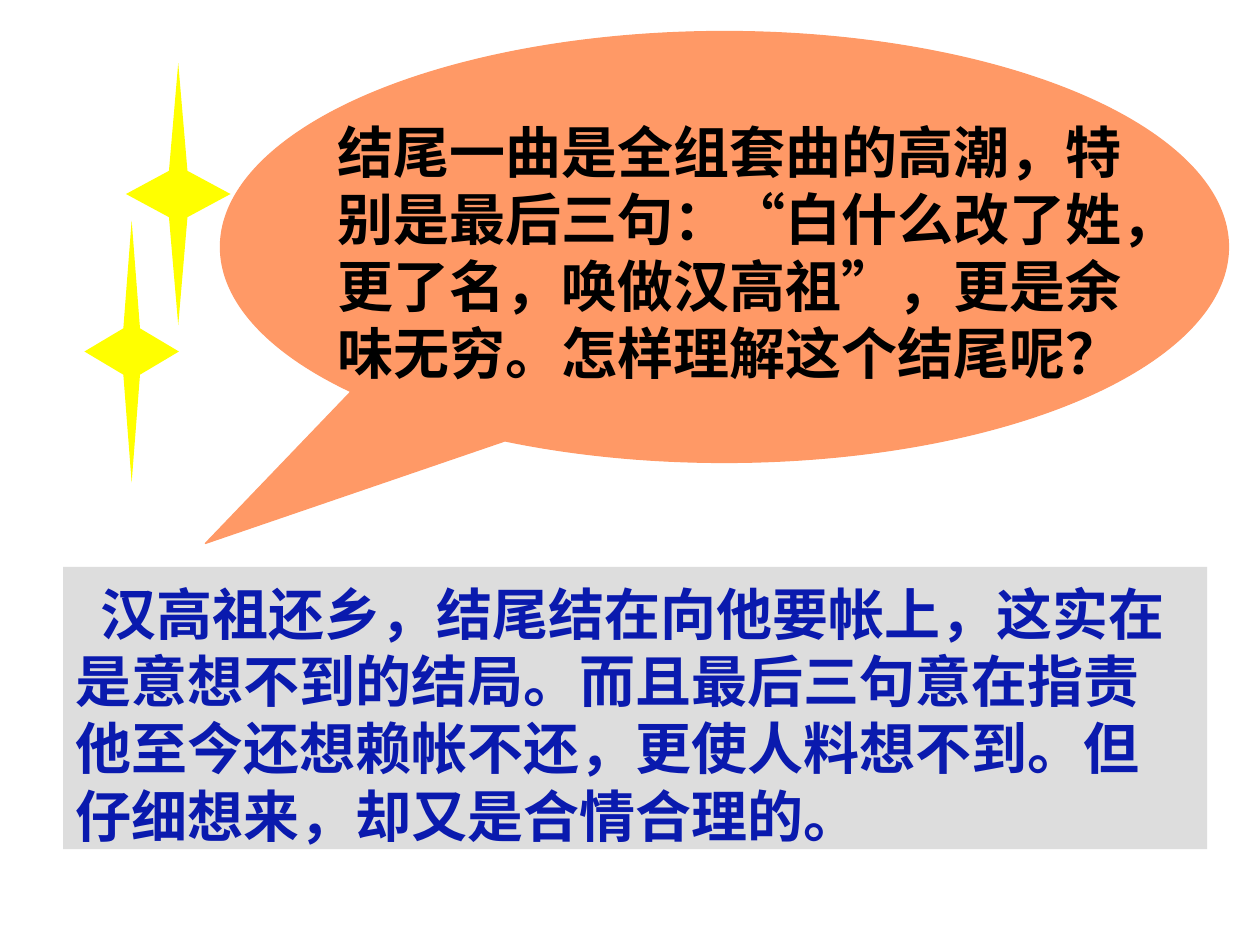
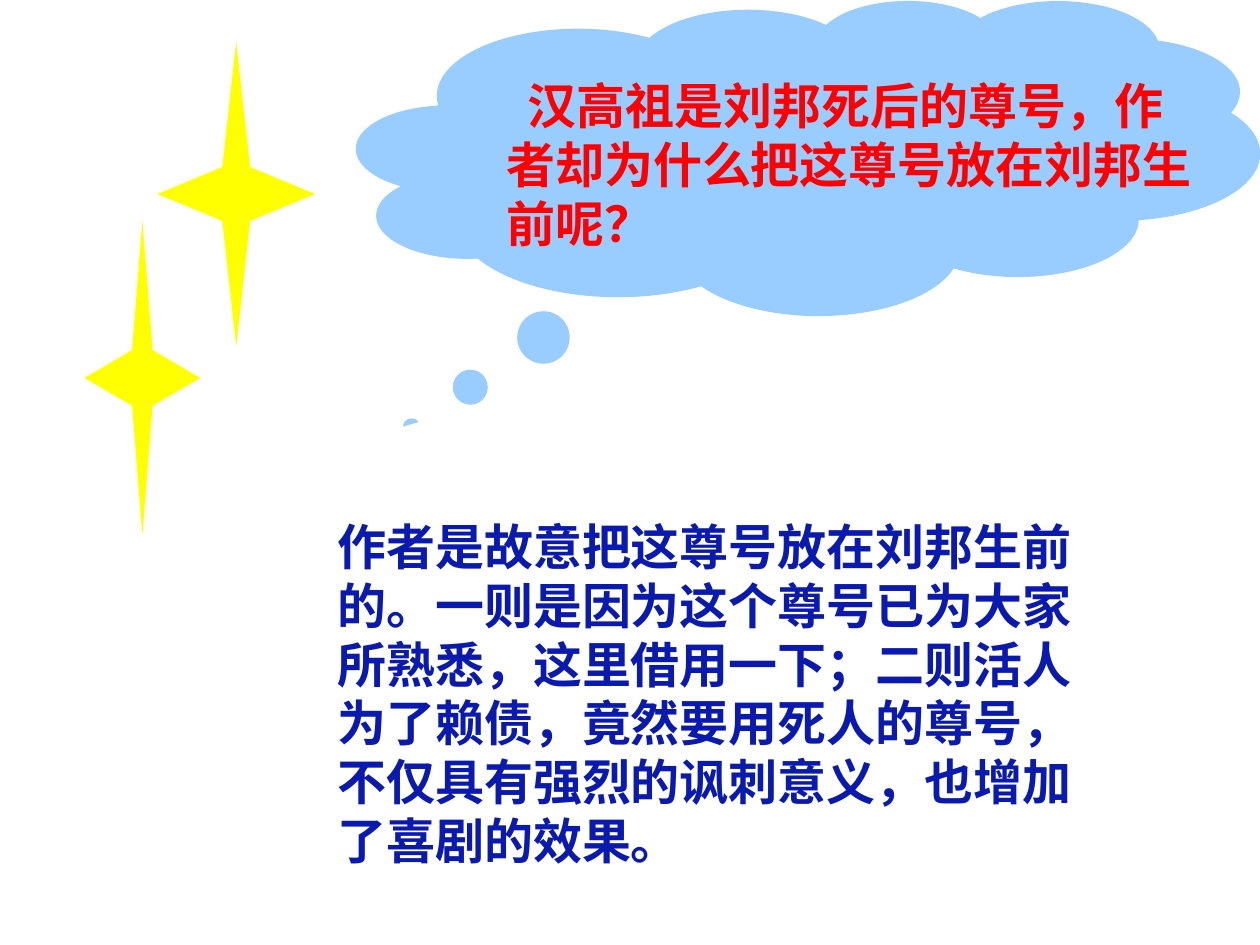
from pptx import Presentation
from pptx.dml.color import RGBColor
from pptx.enum import shapes, text
from pptx.util import Inches, Pt

FONT = "Noto Sans CJK SC"
BLACK = RGBColor(0x00, 0x00, 0x00)
WHITE = RGBColor(0xFF, 0xFF, 0xFF)
RED = RGBColor(0xFF, 0x00, 0x00)
NAVY = RGBColor(0x0A, 0x1A, 0xAE)
YELLOW = RGBColor(0xFF, 0xFF, 0x00)
ORANGE = RGBColor(0xFF, 0x99, 0x66)
SKY = RGBColor(0x99, 0xCC, 0xFF)
GREY = RGBColor(0xDD, 0xDD, 0xDD)
KIND = shapes.MSO_SHAPE
STAR_WAIST = 0.125
LINE_PITCH = 1.2

# shapes: preset, place (left, top, width, height), fill, adjustments
# texts: words, place, colour, first-line indent in inches
SLIDES = [
    {
        "size": 32,
        "shapes": [
            (KIND.OVAL_CALLOUT, (1.75, 0.25, 8, 3.42), ORANGE, (-0.515, 0.688)),
            (KIND.RECTANGLE, (0.5, 4.5, 9.08, 2.24), GREY, ()),
        ],
        "texts": [
            ("结尾一曲是全组套曲的高潮，特别是最后三句：“白什么改了姓，更了名，"
             "唤做汉高祖”，更是余味无穷。怎样理解这个结尾呢？",
             (2.58, 0.83, 6.58, 2.24), BLACK, 0),
            ("汉高祖还乡，结尾结在向他要帐上，这实在是意想不到的结局。"
             "而且最后三句意在指责他至今还想赖帐不还，更使人料想不到。"
             "但仔细想来，却又是合情合理的。",
             (0.5, 4.5, 9.08, 2.24), NAVY, 0.2),
        ],
        "stars": [(1, 0.5, 0.83, 2.08), (0.67, 1.75, 0.75, 2.08)],
    },
    {
        "size": 28,
        "shapes": [
            (KIND.CLOUD_CALLOUT, (2.83, 0, 7.17, 2.5), SKY, (-0.439, 0.856)),
            (KIND.OVAL, (1.25, 3.08, 8.25, 4.08), WHITE, ()),
        ],
        "texts": [
            ("汉高祖是刘邦死后的尊号，作者却为什么把这尊号放在刘邦生前呢？",
             (3.92, 0.5, 5.75, 1.5), RED, 0.17),
            ("作者是故意把这尊号放在刘邦生前的。一则是因为这个尊号已为大家所熟悉，"
             "这里借用一下；二则活人为了赖债，竟然要用死人的尊号，"
             "不仅具有强烈的讽刺意义，也增加了喜剧的效果。",
             (2.58, 4, 6.33, 2.9), NAVY, 0),
        ],
        "stars": [(1.25, 0.33, 1.25, 2.42), (0.67, 1.75, 0.92, 2.5)],
    },
]


def add_filled(slide, kind, place, fill, adjustments=()):
    sp = slide.shapes.add_shape(kind, *map(Inches, place))
    sp.shadow.inherit = False
    sp.fill.solid()
    sp.fill.fore_color.rgb = fill
    sp.line.fill.background()
    for i, value in enumerate(adjustments):
        sp.adjustments[i] = value
    return sp


def add_passage(slide, words, place, colour, indent, size):
    tf = slide.shapes.add_textbox(*map(Inches, place)).text_frame
    tf.word_wrap = True
    tf.vertical_anchor = text.MSO_ANCHOR.TOP
    tf.margin_top = Inches(0.1)
    p = tf.paragraphs[0]
    r = p.add_run()
    r.text = words
    p.line_spacing = Pt(size * LINE_PITCH)
    p._p.get_or_add_pPr().set("indent", str(Inches(indent)))
    f = p.font
    f.name, f.size, f.bold = FONT, Pt(size), True
    f.color.rgb = colour
    # East Asian characters take their own typeface entry
    rPr = r._r.get_or_add_rPr()
    ea = rPr.makeelement(
        "{http://schemas.openxmlformats.org/drawingml/2006/main}ea", {"typeface": FONT})
    rPr.append(ea)


def main():
    prs = Presentation()
    prs.slide_width, prs.slide_height = Inches(10), Inches(7.5)
    for content in SLIDES:
        slide = prs.slides.add_slide(prs.slide_layouts[6])
        for kind, place, fill, adjustments in content["shapes"]:
            sp = add_filled(slide, kind, place, fill, adjustments)
            if kind == KIND.OVAL_CALLOUT:
                sp.line.color.rgb = fill
                sp.line.width = Pt(0.75)
        for passage in content["texts"]:
            add_passage(slide, *passage, content["size"])
        for place in content["stars"]:
            add_filled(slide, KIND.STAR_4_POINT, place, YELLOW, (STAR_WAIST,))
    prs.save("out.pptx")


if __name__ == "__main__":
    main()
